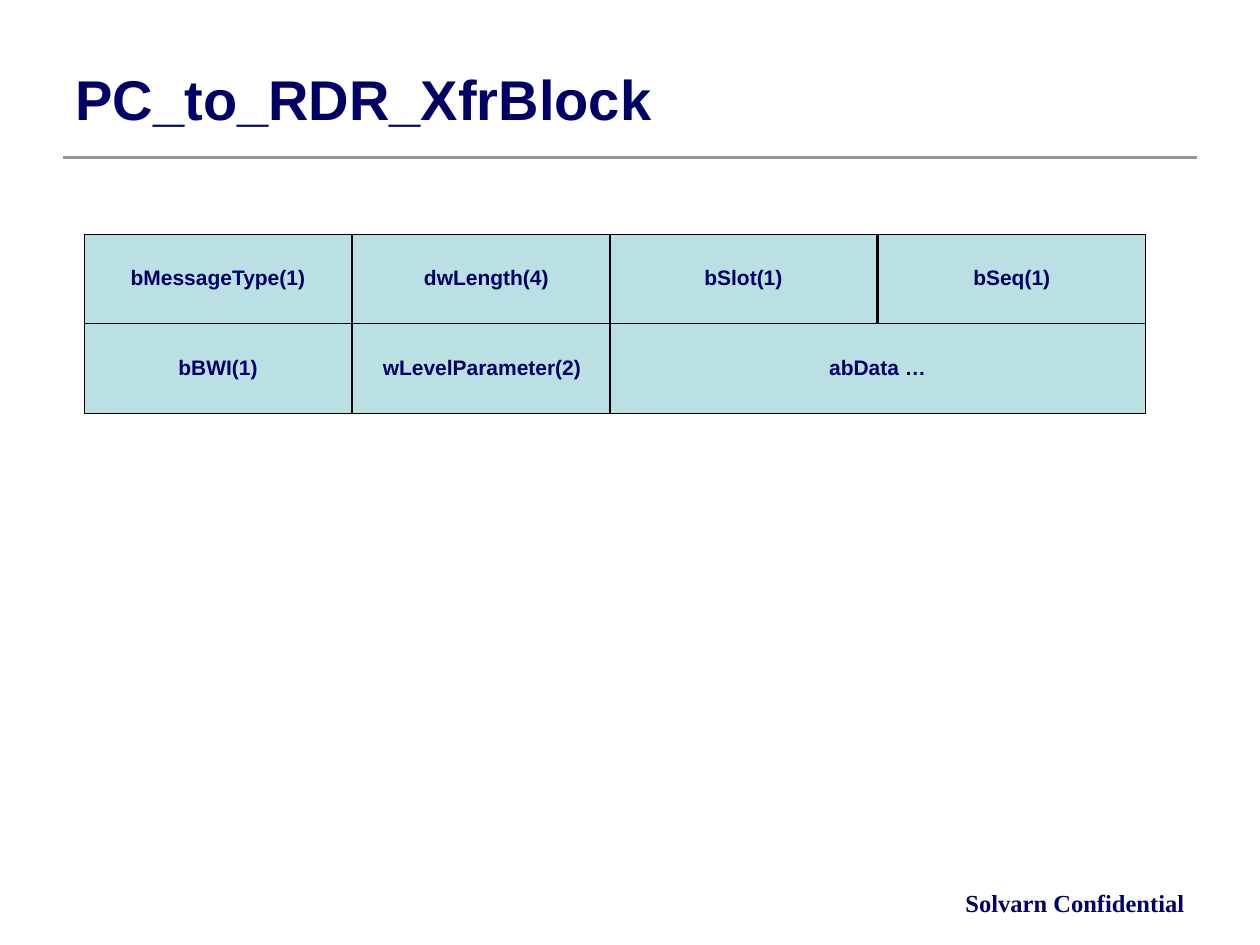
from lxml import etree
from pptx import Presentation
from pptx.dml.color import RGBColor
from pptx.enum.shapes import MSO_CONNECTOR, MSO_SHAPE
from pptx.enum.text import MSO_ANCHOR, PP_ALIGN
from pptx.oxml.ns import qn
from pptx.util import Inches, Pt

RECT, STRAIGHT = MSO_SHAPE.RECTANGLE, MSO_CONNECTOR.STRAIGHT
TOP, MIDDLE = MSO_ANCHOR.TOP, MSO_ANCHOR.MIDDLE
LEFT, CENTER, RIGHT = PP_ALIGN.LEFT, PP_ALIGN.CENTER, PP_ALIGN.RIGHT
TITLE_ONLY = 5
COLORS = {"text": "000066", "field": "BBE0E3", "border": "000000", "rule": "969696"}


class SlideBuilder:
    def __init__(self, slide):
        self.slide = slide

    def color(self, name):
        return RGBColor.from_string(COLORS[name])

    def set_text(self, shape, text, size, align, anchor, font="Arial", **spacing):
        tf = shape.text_frame
        tf.word_wrap = True
        tf.vertical_anchor = anchor
        p = tf.paragraphs[0]
        for name, value in {"alignment": align, **spacing}.items():
            setattr(p, name, value)
        r = p.add_run()
        r.text = text
        for name, value in {"name": font, "size": Pt(size), "bold": True}.items():
            setattr(r.font, name, value)
        r.font.color.rgb = self.color("text")

    def title(self, text, x, y, w, h):
        s = self.slide.shapes.title
        for name, value in {"left": x, "top": y, "width": w, "height": h}.items():
            setattr(s, name, Inches(value))
        self.set_text(s, text, 32, LEFT, MIDDLE)

    def rule(self, x1, y1, x2, y2):
        s = self.slide.shapes.add_connector(STRAIGHT, *map(Inches, (x1, y1, x2, y2)))
        s.line.color.rgb = self.color("rule")
        s.line.width = Pt(2.25)
        etree.SubElement(s._element.spPr, qn("a:effectLst"))

    def field(self, text, x, y, w, h):
        s = self.slide.shapes.add_shape(RECT, *map(Inches, (x, y, w, h)))
        s.shadow.inherit = False
        s.fill.solid()
        s.fill.fore_color.rgb = self.color("field")
        s.line.color.rgb = self.color("border")
        s.line.width = Pt(0.75)
        self.set_text(s, text, 12, CENTER, MIDDLE, line_spacing=0.9, space_before=Pt(7.5))

    def label(self, text, x, y, w, h):
        s = self.slide.shapes.add_textbox(*map(Inches, (x, y, w, h)))
        self.set_text(s, text, 14, RIGHT, TOP, font="Times New Roman")


def main():
    prs = Presentation()
    prs.slide_width, prs.slide_height = Inches(10), Inches(7.5)
    page = SlideBuilder(prs.slides.add_slide(prs.slide_layouts[TITLE_ONLY]))

    page.rule(0.5, 1.25, 9.5, 1.25)
    page.title("PC_to_RDR_XfrBlock", 0.5, 0.3, 9, 0.95)

    columns = [0.67, 2.8, 4.84, 6.97]
    top, height, width = 1.86, 0.71, 2.12
    rows = [
        [("bMessageType(1)", width), ("dwLength(4)", width), ("bSlot(1)", width), ("bSeq(1)", width)],
        [("bBWI(1)", width), ("wLevelParameter(2)", 2.05), ("abData …", 4.25)],
    ]
    for i, row in enumerate(rows):
        for x, (text, w) in zip(columns, row):
            page.field(text, x, top + i * height, w, height)

    page.label("Solvarn Confidential", 6.33, 7, 3.17, 0.33)
    prs.save("out.pptx")


if __name__ == "__main__":
    main()
